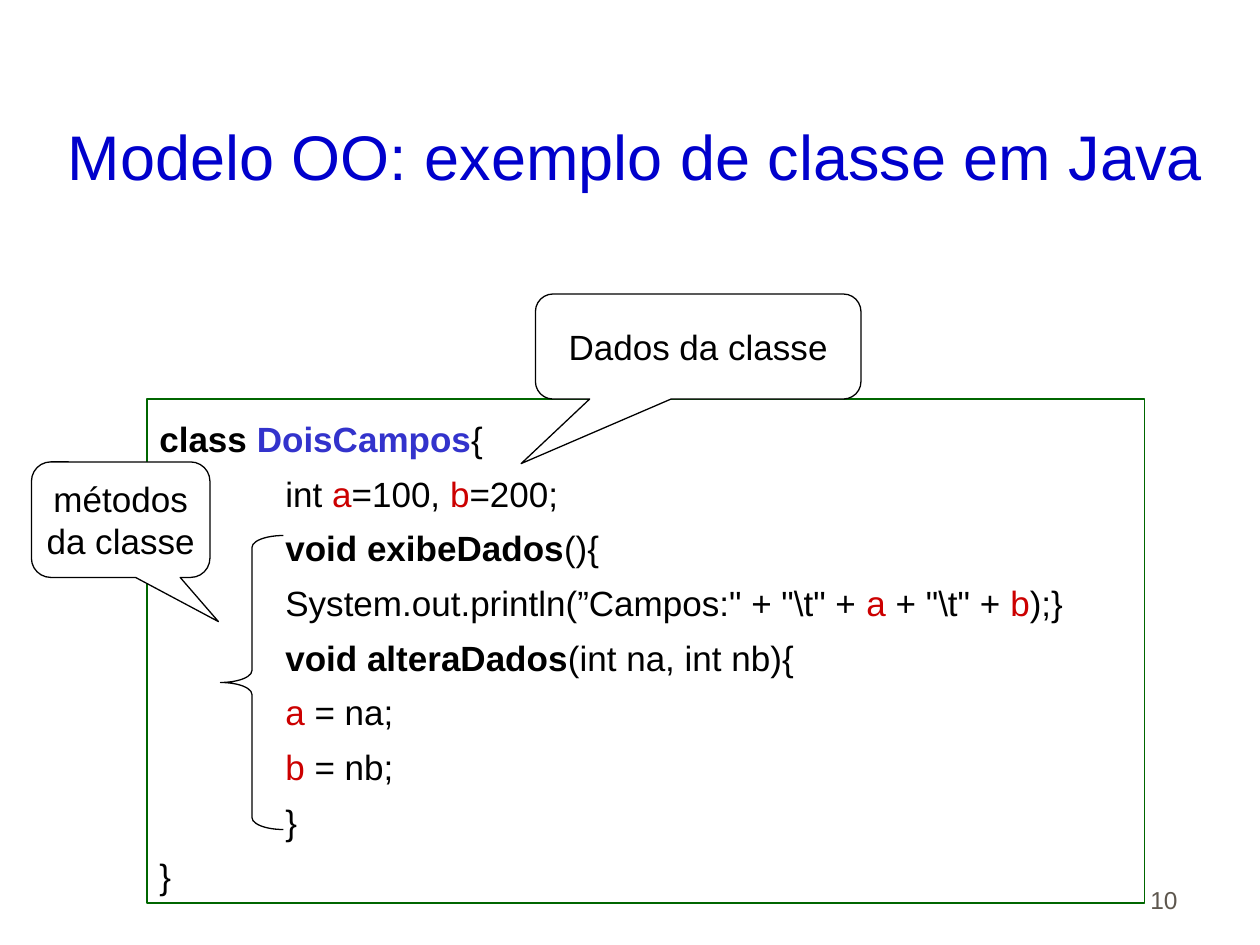
from pptx import Presentation
from pptx.dml.color import RGBColor
from pptx.enum.shapes import MSO_SHAPE as SHAPE
from pptx.enum.text import MSO_ANCHOR as ANCHOR, PP_ALIGN as ALIGN
from pptx.oxml.ns import qn
from pptx.util import Pt
from lxml.etree import SubElement

COLORS = {
    "title": "0000CC", "class": "3333CC", "field": "CC0000", "text": "000000",
    "frame": "006600", "line": "000000", "callout": "FFFFFF", "number": "5E574E",
}
TAB_STOP = Pt(72)

presentation = Presentation()
presentation.slide_width, presentation.slide_height = Pt(720), Pt(540)
slide = presentation.slides.add_slide(presentation.slide_layouts[6])


def add_outline(kind, box, line, fill=None, adjustments=()):
    """Add a preset shape with a thin line and an optional fill."""
    shape = slide.shapes.add_shape(kind, *map(Pt, box))
    shape.shadow.inherit = False
    shape.line.color.rgb = RGBColor.from_string(COLORS[line])
    shape.line.width = Pt(0.75)
    if fill:
        shape.fill.solid()
        shape.fill.fore_color.rgb = RGBColor.from_string(COLORS[fill])
    else:
        shape.fill.background()
    for index, value in enumerate(adjustments):
        shape.adjustments[index] = value
    return shape


def write(shape, lines, size, frame_format, paragraph_format):
    """Fill a shape with lines, each a list of (text, color name, bold) runs."""
    frame = shape.text_frame
    for name, value in frame_format.items():
        setattr(frame, name, value)
    for number, runs in enumerate(lines):
        paragraph = frame.paragraphs[0] if number == 0 else frame.add_paragraph()
        for name, value in paragraph_format.items():
            setattr(paragraph, name, value)
        if runs[0][0].startswith("\t"):
            tabs = SubElement(paragraph._p.get_or_add_pPr(), qn("a:tabLst"))
            SubElement(tabs, qn("a:tab"), pos=str(TAB_STOP), algn="l")
        for text, color, bold in runs:
            run = paragraph.add_run()
            run.text = text
            run.font.name, run.font.size, run.font.bold = "Arial", Pt(size), bold
            run.font.color.rgb = RGBColor.from_string(COLORS[color])


# Title
title = slide.shapes.add_textbox(Pt(12), Pt(36), Pt(702), Pt(78))
write(title, [[("Modelo OO: exemplo de classe em Java", "title", False)]], 36,
      {"word_wrap": True, "vertical_anchor": ANCHOR.BOTTOM}, {"alignment": ALIGN.CENTER})

# Code listing
code = [
    [("class ", "text", True), ("DoisCampos", "class", True), ("{", "text", False)],
    [("\tint ", "text", False), ("a", "field", False), ("=100, ", "text", False),
     ("b", "field", False), ("=200;", "text", False)],
    [("\t", "text", False), ("void exibeDados", "text", True), ("(){", "text", False)],
    [("\tSystem.out.println(”Campos:\" + \"\\t\" + ", "text", False), ("a", "field", False),
     (" + \"\\t\" + ", "text", False), ("b", "field", False), (");}", "text", False)],
    [("\t", "text", False), ("void alteraDados", "text", True),
     ("(int na, int nb){", "text", False)],
    [("\t", "text", False), ("a", "field", False), (" = na;", "text", False)],
    [("\t", "text", False), ("b", "field", False), (" = nb;", "text", False)],
    [("\t}", "text", False)],
    [("}", "text", False)],
]
listing = add_outline(SHAPE.RECTANGLE, (84, 228, 570, 288), "frame")
write(listing, code, 20, {"word_wrap": True, "vertical_anchor": ANCHOR.TOP},
      {"alignment": ALIGN.LEFT, "line_spacing": 1.3})

# Brace around the methods
add_outline(SHAPE.LEFT_BRACE, (126, 306, 36, 168), "line", adjustments=(0.19, 0.5))

# Callouts
callouts = [
    (["Dados da classe"], (306, 168, 186, 60), (-0.544, 1.115, 0.167)),
    (["métodos", "da classe"], (18, 264, 102, 66), (0.548, 0.883, 0.167)),
]
for lines, box, adjustments in callouts:
    callout = add_outline(SHAPE.ROUNDED_RECTANGULAR_CALLOUT, box, "line", "callout", adjustments)
    write(callout, [[(line, "text", False)] for line in lines], 20,
          {"word_wrap": False, "vertical_anchor": ANCHOR.MIDDLE}, {"alignment": ALIGN.CENTER})

# Slide number
slide_number = slide.shapes.add_textbox(Pt(530), Pt(490), Pt(150), Pt(36))
write(slide_number, [[("10", "number", False)]], 14,
      {"word_wrap": True, "vertical_anchor": ANCHOR.BOTTOM}, {"alignment": ALIGN.RIGHT})

presentation.save("out.pptx")
